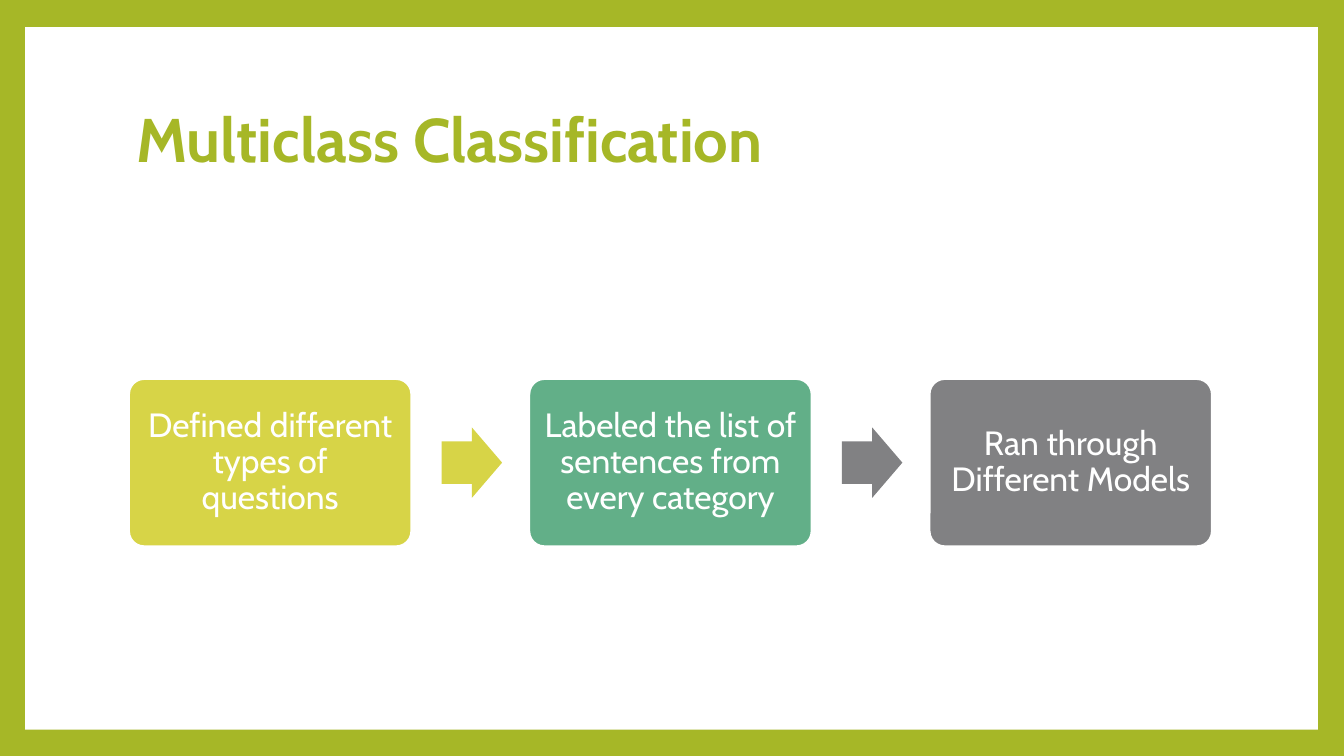
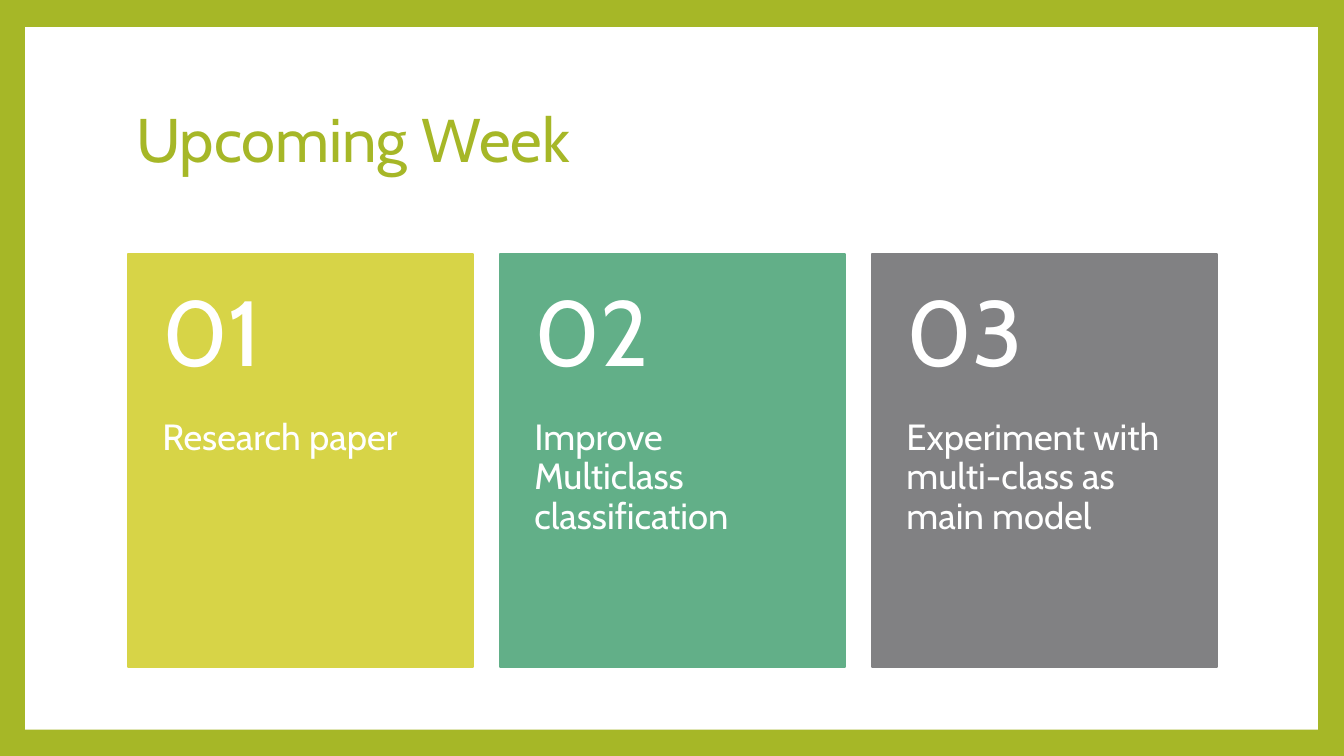
from pptx import Presentation
from pptx import util as u
from pptx.dml.color import RGBColor
from pptx.enum import shapes, text

GREEN = RGBColor(0xA6, 0xB7, 0x27)
YELLOW = RGBColor(0xD7, 0xD4, 0x47)
TEAL = RGBColor(0x62, 0xAF, 0x88)
GRAY = RGBColor(0x81, 0x81, 0x83)
WHITE = RGBColor(0xFF, 0xFF, 0xFF)
FONT = "Cabin"
WIDTH, HEIGHT = 13.33, 7.5
TITLE_ONLY = 5


def columns(left, width, gap, count=3):
    """Left edges of equal columns."""
    return [left + i * (width + gap) for i in range(count)]


def write(sp, content, size, color=WHITE, bold=False, align=text.PP_ALIGN.LEFT,
          anchor=text.MSO_ANCHOR.MIDDLE, insets=(0.1, 0.05, 0.1, 0.05)):
    """Fill a shape with one formatted paragraph; insets run left, top, right, bottom."""
    tf = sp.text_frame
    tf.word_wrap = True
    tf.auto_size = text.MSO_AUTO_SIZE.NONE
    tf.vertical_anchor = anchor
    tf.margin_left, tf.margin_top, tf.margin_right, tf.margin_bottom = map(u.Inches, insets)
    p = tf.paragraphs[0]
    p.alignment = align
    p.line_spacing = 0.9
    r = p.add_run()
    r.text = content
    r.font.name, r.font.size, r.font.bold = FONT, u.Pt(size), bold
    r.font.color.rgb = color


class Deck:
    """Holds the presentation, its shared style and the current slide."""

    def __init__(self):
        self.prs = Presentation()
        self.prs.slide_width = u.Inches(WIDTH)
        self.prs.slide_height = u.Inches(HEIGHT)
        fill = self.prs.slide_master.background.fill
        fill.solid()
        fill.fore_color.rgb = GREEN
        self.s = None

    def slide(self, title, bold=False):
        self.s = self.prs.slides.add_slide(self.prs.slide_layouts[TITLE_ONLY])
        panel = self.shape(shapes.MSO_SHAPE.RECTANGLE, (0.25, 0.27, 12.82, 6.97), WHITE)
        self.s.shapes._spTree.insert(2, panel._element)  # behind the title
        sp = self.s.shapes.title
        sp.left, sp.top, sp.width, sp.height = map(u.Inches, (1.25, 0.67, 10.8, 1.48))
        write(sp, title, 44, GREEN, bold)

    def shape(self, kind, box, fill, line=None, line_width=1.5, adjust=()):
        sp = self.s.shapes.add_shape(kind, *map(u.Inches, box))
        sp.shadow.inherit = False
        sp.fill.solid()
        sp.fill.fore_color.rgb = fill
        if line is None:
            sp.line.fill.background()
        else:
            sp.line.color.rgb = line
            sp.line.width = u.Pt(line_width)
        for i, value in enumerate(adjust):
            sp.adjustments[i] = value
        return sp

    def textbox(self, box, content, size, **fmt):
        write(self.s.shapes.add_textbox(*map(u.Inches, box)), content, size, **fmt)

    def step(self, left, label, color):
        sp = self.shape(shapes.MSO_SHAPE.ROUNDED_RECTANGLE, (left, 3.74, 2.84, 1.7),
                        color, WHITE, 4.25, (0.1,))
        write(sp, label, 24, align=text.PP_ALIGN.CENTER, insets=(0.1,) * 4)

    def arrow(self, left, color):
        self.shape(shapes.MSO_SHAPE.RIGHT_ARROW, (left, 4.24, 0.6, 0.7), color,
                   adjust=(0.6, 0.5))

    def card(self, left, number, label, color):
        top, width, height = 2.52, 3.42, 4.1
        head = 0.4 * height
        self.shape(shapes.MSO_SHAPE.RECTANGLE, (left, top, width, height), color, color)
        self.textbox((left, top + head, width, height - head), label, 26,
                     anchor=text.MSO_ANCHOR.TOP, insets=(0.34, 0, 0.34, 0.36))
        self.textbox((left, top, width, head), number, 66,
                     insets=(0.34, 0.18, 0.34, 0.18))


def main():
    deck = Deck()

    deck.slide("Multiclass Classification", bold=True)
    lefts = columns(1.26, 2.84, 1.13)
    steps = [("Defined different types of questions", YELLOW),
             ("Labeled the list of sentences from every category", TEAL),
             ("Ran through Different Models", GRAY)]
    for left, (label, color) in zip(lefts, steps):
        deck.step(left, label, color)
    for left, color in zip(lefts, (YELLOW, GRAY)):
        deck.arrow(left + 3.12, color)

    deck.slide("Upcoming Week")
    cards = [("Research paper", YELLOW),
             ("Improve Multiclass classification", TEAL),
             ("Experiment with multi-class as main model", GRAY)]
    for i, (left, (label, color)) in enumerate(zip(columns(1.27, 3.42, 0.27), cards), 1):
        deck.card(left, f"{i:02}", label, color)

    deck.prs.save("out.pptx")


if __name__ == "__main__":
    main()
